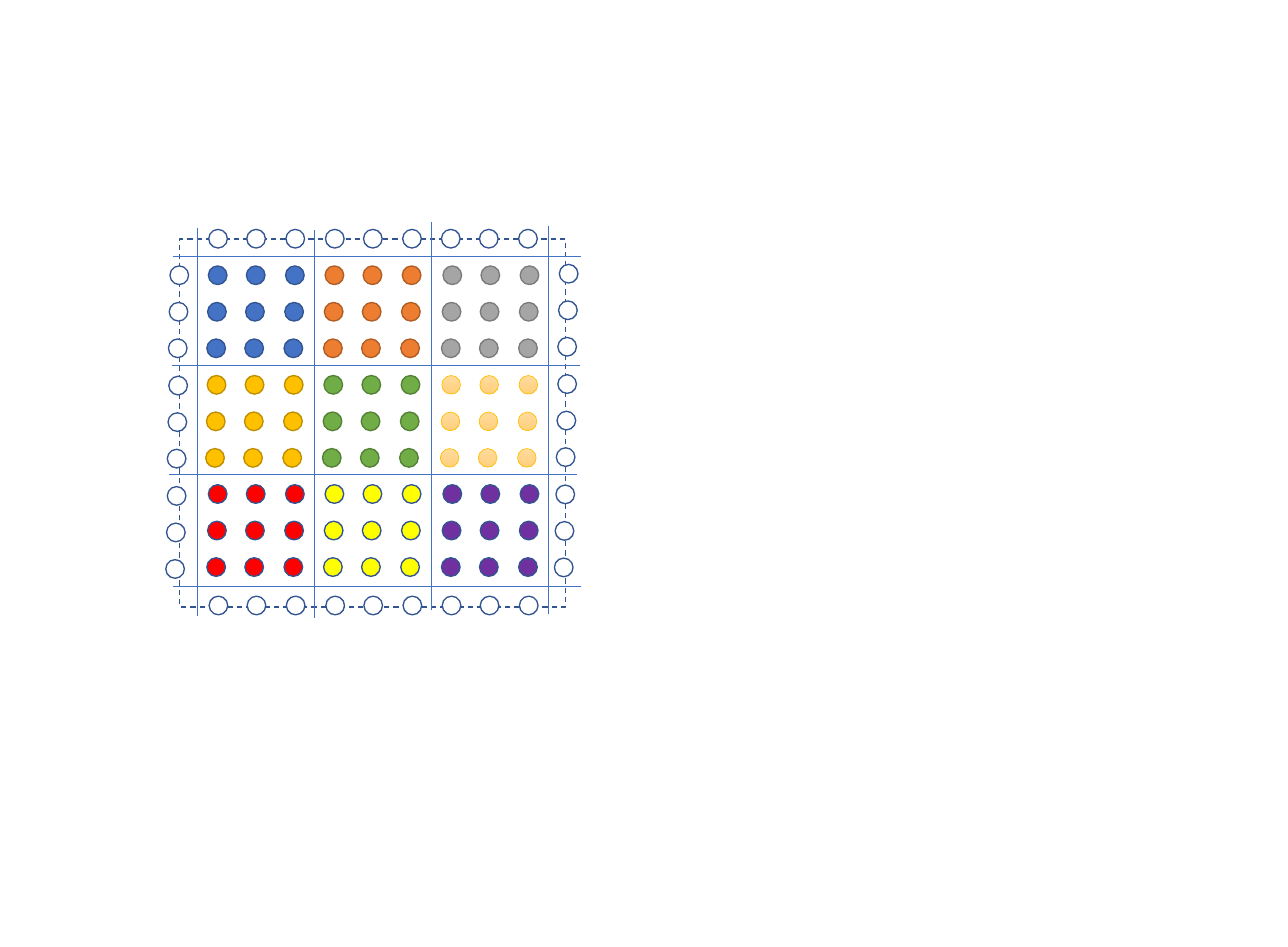
from dataclasses import dataclass
from itertools import product

import lxml.etree
import pptx
import pptx.dml.color
import pptx.dml.line
import pptx.enum.dml
import pptx.enum.shapes
import pptx.oxml.ns
import pptx.shapes.group
import pptx.slide
import pptx.util

Cm = pptx.util.Cm
RGBColor = pptx.dml.color.RGBColor

WHITE = RGBColor(0xFF, 0xFF, 0xFF)
BLUE = RGBColor(0x44, 0x72, 0xC4)
NAVY = RGBColor(0x32, 0x54, 0x91)
ORANGE = RGBColor(0xED, 0x7D, 0x31)
RUST = RGBColor(0xAF, 0x5C, 0x24)
GRAY = RGBColor(0xA5, 0xA5, 0xA5)
DARK_GRAY = RGBColor(0x7A, 0x7A, 0x7A)
GOLD = RGBColor(0xFF, 0xC0, 0x00)
DARK_GOLD = RGBColor(0xBD, 0x8E, 0x00)
GREEN = RGBColor(0x70, 0xAD, 0x47)
DARK_GREEN = RGBColor(0x53, 0x80, 0x35)
PEACH_TOP = RGBColor(0xFF, 0xDB, 0x9E)
PEACH_BOTTOM = RGBColor(0xFF, 0xD0, 0x7C)
RED = RGBColor(0xFF, 0x00, 0x00)
YELLOW = RGBColor(0xFF, 0xFF, 0x00)
PURPLE = RGBColor(0x70, 0x30, 0xA0)

DOT_SIZE = 0.49
DOT_COLUMNS = (0, 1.0, 2.03)
DOT_ROW_STEP = 0.96
ROW_LEAN = -0.02
BLOCK_LEFTS = (5.48, 8.55, 11.65)
BLOCK_TOPS = (6.99, 9.87, 12.74)
BLOCK_SHIFTS = (0, -0.03, 0)


@dataclass(frozen=True)
class DotStyle:
    fill: RGBColor
    outline: RGBColor = NAVY
    width: float = 1
    fill_end: RGBColor | None = None


@dataclass(frozen=True)
class DotBlock:
    left: float
    top: float
    style: DotStyle
    columns: int = 3
    rows: int = 3


@dataclass(frozen=True)
class GridLine:
    start: tuple[float, float]
    end: tuple[float, float]


HALO = DotStyle(WHITE)
CELL_STYLES = (
    DotStyle(BLUE), DotStyle(ORANGE, RUST), DotStyle(GRAY, DARK_GRAY),
    DotStyle(GOLD, DARK_GOLD), DotStyle(GREEN, DARK_GREEN),
    DotStyle(PEACH_TOP, GOLD, 0.5, PEACH_BOTTOM),
    DotStyle(RED), DotStyle(YELLOW), DotStyle(PURPLE),
)
CELL_BLOCKS = [
    DotBlock(BLOCK_LEFTS[column] + BLOCK_SHIFTS[row], BLOCK_TOPS[row], style)
    for (row, column), style in zip(product(range(3), repeat=2), CELL_STYLES)
]
HALO_ROWS = [
    DotBlock(left, top, HALO, rows=1)
    for top, lefts in ((6.03, (5.49, 8.56, 11.61)), (15.67, (5.5, 8.57, 11.63)))
    for left in lefts
]
HALO_COLUMNS = [
    DotBlock(left, top, HALO, columns=1)
    for left, top in (
        (4.47, 6.99), (4.44, 9.89), (4.4, 12.79),
        (14.71, 6.95), (14.67, 9.85), (14.62, 12.75),
    )
]
ROW_LINES = [
    GridLine((left, y), (left + 10.72, y))
    for left, y in ((4.55, 6.74), (4.52, 9.6), (4.45, 12.46), (4.55, 15.4))
]
COLUMN_LINES = [
    GridLine((x, bottom), (x, bottom - 10.2))
    for x, bottom in ((14.43, 16.15), (11.34, 16.04), (8.27, 16.24), (5.2, 16.2))
]


def format_line(line: pptx.dml.line.LineFormat, color: RGBColor, **values) -> None:
    line.color.rgb = color
    for name, value in values.items():
        setattr(line, name, value)


def draw_halo_border(page: pptx.slide.Slide) -> None:
    border = page.shapes.add_shape(
        pptx.enum.shapes.MSO_SHAPE.RECTANGLE, Cm(4.73), Cm(6.28), Cm(10.14), Cm(9.68)
    )
    border.shadow.inherit = False
    border.fill.background()
    format_line(
        border.line, NAVY, width=pptx.util.Pt(1), dash_style=pptx.enum.dml.MSO_LINE.DASH
    )


def draw_dot(
    group: pptx.shapes.group.GroupShape, left: float, top: float, style: DotStyle
) -> None:
    dot = group.shapes.add_shape(
        pptx.enum.shapes.MSO_SHAPE.OVAL, Cm(left), Cm(top), Cm(DOT_SIZE), Cm(DOT_SIZE)
    )
    dot.shadow.inherit = False
    if style.fill_end is None:
        dot.fill.solid()
        dot.fill.fore_color.rgb = style.fill
    else:
        dot.fill.gradient()
        dot.fill.gradient_angle = 270
        for stop, color in zip(dot.fill.gradient_stops, (style.fill, style.fill_end)):
            stop.color.rgb = color
    format_line(dot.line, style.outline, width=pptx.util.Pt(style.width))


def draw_block(page: pptx.slide.Slide, block: DotBlock) -> None:
    group = page.shapes.add_group_shape()
    for row, column in product(range(block.rows), range(block.columns)):
        left = block.left + DOT_COLUMNS[column] + row * ROW_LEAN
        draw_dot(group, left, block.top + row * DOT_ROW_STEP, block.style)


def draw_grid_line(page: pptx.slide.Slide, grid_line: GridLine) -> None:
    connector = page.shapes.add_connector(
        pptx.enum.shapes.MSO_CONNECTOR.STRAIGHT,
        *(Cm(length) for length in grid_line.start + grid_line.end),
    )
    format_line(connector.line, BLUE, width=pptx.util.Pt(0.5))
    lxml.etree.SubElement(connector._element.spPr, pptx.oxml.ns.qn("a:effectLst"))


def main() -> None:
    deck = pptx.Presentation()
    deck.slide_width = Cm(33.87)
    deck.slide_height = Cm(24.89)
    page = deck.slides.add_slide(deck.slide_layouts[6])
    draw_halo_border(page)
    for block in CELL_BLOCKS + HALO_ROWS + HALO_COLUMNS:
        draw_block(page, block)
    for grid_line in ROW_LINES + COLUMN_LINES:
        draw_grid_line(page, grid_line)
    deck.save("out.pptx")


if __name__ == "__main__":
    main()
